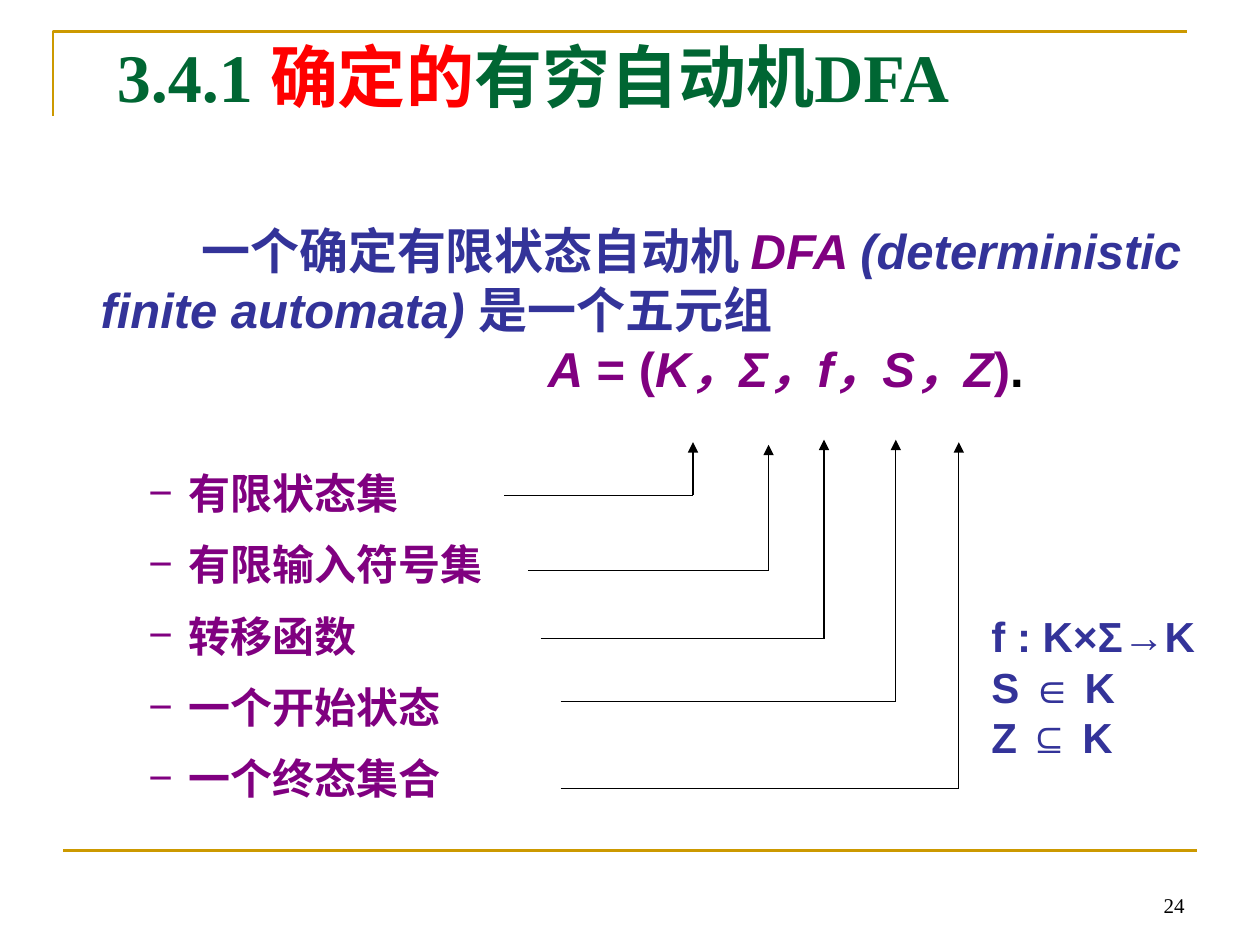
from lxml.etree import SubElement
from pptx import Presentation
from pptx.dml.color import RGBColor
from pptx.enum.shapes import MSO_CONNECTOR as Connector
from pptx.enum.text import MSO_ANCHOR as Anchor, PP_ALIGN as Align
from pptx.oxml.ns import qn
from pptx.util import Inches, Pt

CJK, SANS, SERIF = "Noto Sans CJK SC", "Arial", "Times New Roman"
GOLD, PURPLE, INDIGO = "CC9900", "800080", "333399"
GREEN, RED, BLACK = "006633", "FF0000", "000000"


def rgb(code):
    return RGBColor.from_string(code)


def add_frame(slide, box):
    frame = slide.shapes.add_textbox(*map(Inches, box)).text_frame
    frame.word_wrap = True
    return frame


def next_paragraph(frame, first):
    return frame.paragraphs[0] if first else frame.add_paragraph()


def add_run(paragraph, text, size, color, font=SANS, bold=True, italic=False):
    run = paragraph.add_run()
    run.text = text
    run.font.size = Pt(size)
    run.font.name = font
    run.font.bold = bold
    run.font.italic = italic
    run.font.color.rgb = rgb(color)
    SubElement(run._r.get_or_add_rPr(), qn("a:ea"), typeface=CJK)


def add_line(slide, start, end, color=BLACK, width=0.75, arrow=False):
    line = slide.shapes.add_connector(
        Connector.STRAIGHT, *map(Inches, (*start, *end)))
    line.line.color.rgb = rgb(color)
    line.line.width = Pt(width)
    if arrow:
        SubElement(line.line._get_or_add_ln(), qn("a:tailEnd"), type="triangle")
    SubElement(line._element.spPr, qn("a:effectLst"))


def add_border(slide, left, top, width, height):
    builder = slide.shapes.build_freeform(
        Inches(left), Inches(top + height), scale=1.0)
    builder.add_line_segments(
        [(Inches(left), Inches(top)), (Inches(left + width), Inches(top))],
        close=False)
    corner = builder.convert_to_shape()
    corner.shadow.inherit = False
    corner.fill.background()
    corner.line.color.rgb = rgb(GOLD)
    corner.line.width = Pt(1.5)
    add_line(slide, (0.5, 6.75), (9.5, 6.75), GOLD, 1.5)


def add_title(slide, box):
    title = add_frame(slide, box).paragraphs[0]
    title.line_spacing = 0.9
    for text, color in (("3.4.1 ", GREEN), ("确定的", RED), ("有穷自动机DFA", GREEN)):
        add_run(title, text, 38.9, color, SERIF)


def add_definition(slide, box):
    sentence = [("一个确定有限状态自动机 ", INDIGO, False), ("DFA ", PURPLE, True),
                ("(deterministic finite automata) ", INDIGO, True),
                ("是一个五元组", INDIGO, False)]
    formula = [("A", PURPLE, True), (" = (", PURPLE, False),
               ("K，Σ，f，S，Z", PURPLE, True), (")", PURPLE, False),
               (".", BLACK, False)]
    frame = add_frame(slide, box)
    for i, (indent, parts) in enumerate(((0.8, sentence), (3.55, formula))):
        paragraph = next_paragraph(frame, i == 0)
        paragraph._p.get_or_add_pPr().set("indent", str(Inches(indent)))
        for text, color, italic in parts:
            add_run(paragraph, text, 28, color, italic=italic)


def add_components(slide, box):
    frame = add_frame(slide, box)
    names = ("有限状态集", "有限输入符号集", "转移函数", "一个开始状态", "一个终态集合")
    for i, name in enumerate(names):
        paragraph = next_paragraph(frame, i == 0)
        paragraph.line_spacing = Pt(29)
        paragraph.space_after = Pt(11.7)
        props = paragraph._p.get_or_add_pPr()
        props.set("marL", str(Inches(0.32)))
        props.set("indent", str(-Inches(0.32)))
        bullet_color = SubElement(props, qn("a:buClr"))
        SubElement(bullet_color, qn("a:srgbClr"), val=PURPLE)
        SubElement(props, qn("a:buFont"), typeface=SANS)
        SubElement(props, qn("a:buChar"), char="−")
        add_run(paragraph, name, 24, PURPLE, CJK)


def add_pointers(slide):
    for left, right, level, tip in (
            (4, 5.5, 3.93, 3.51), (4.19, 6.1, 4.53, 3.53),
            (4.29, 6.54, 5.07, 3.49), (4.45, 7.11, 5.57, 3.49),
            (4.45, 7.61, 6.26, 3.51)):
        add_line(slide, (left, level), (right, level))
        add_line(slide, (right, level), (right, tip), arrow=True)


def add_relations(slide, box):
    frame = add_frame(slide, box)
    for i, relation in enumerate(("f : K×Σ→K", "S ∈ K", "Z ⊆ K")):
        add_run(next_paragraph(frame, i == 0), relation, 24, INDIGO)


def add_page_number(slide, box):
    frame = add_frame(slide, box)
    frame.vertical_anchor = Anchor.BOTTOM
    number = frame.paragraphs[0]
    number.alignment = Align.RIGHT
    add_run(number, "24", 12, BLACK, SERIF, bold=False)


def main():
    deck = Presentation()
    deck.slide_width, deck.slide_height = Inches(10), Inches(7.5)
    slide = deck.slides.add_slide(deck.slide_layouts[6])
    add_border(slide, 0.42, 0.25, 9, 0.67)
    add_components(slide, (1.08, 3.66, 3.08, 2.77))
    add_definition(slide, (0.7, 1.7, 8.9, 1.5))
    add_pointers(slide)
    add_relations(slide, (7.77, 4.8, 2.11, 1.3))
    add_title(slide, (0.83, 0.3, 8.67, 0.77))
    add_page_number(slide, (7.17, 6.83, 2.33, 0.5))
    deck.save("out.pptx")


if __name__ == "__main__":
    main()
